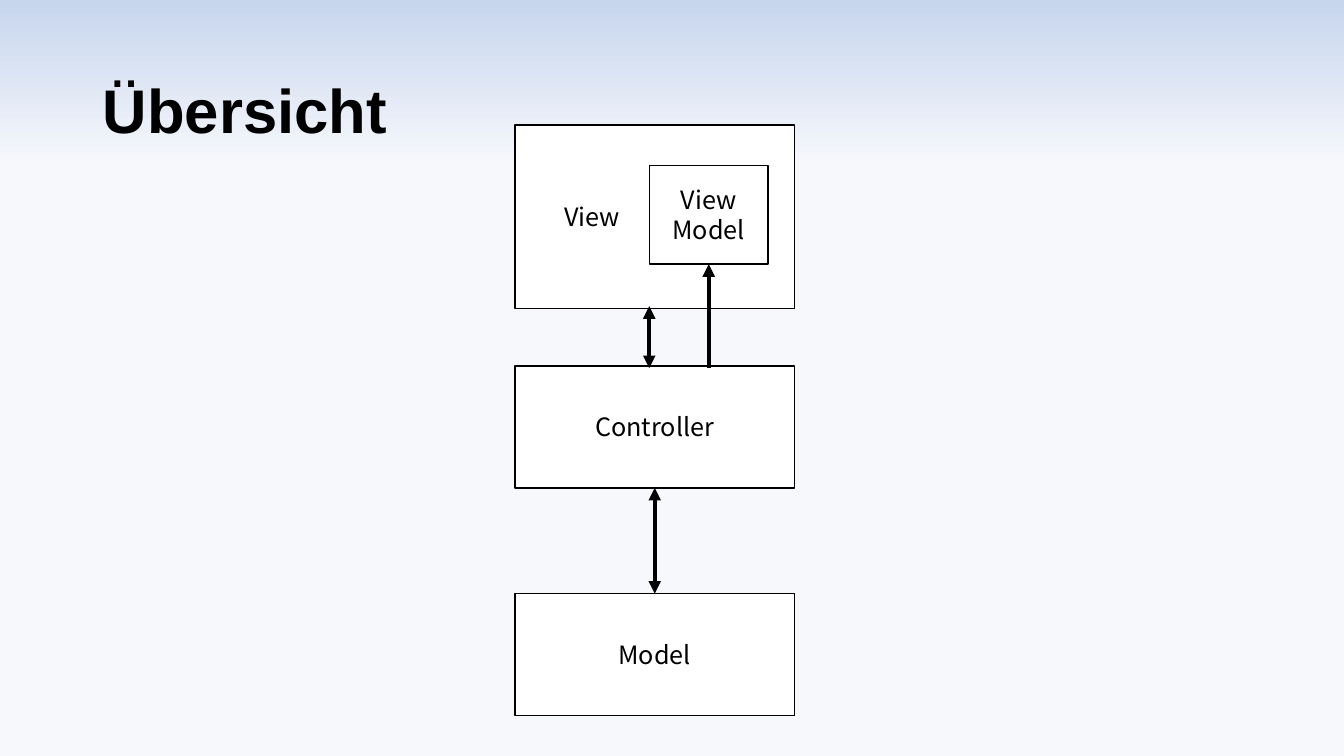
from dataclasses import dataclass

from lxml.etree import SubElement
from pptx import Presentation
from pptx.dml.color import RGBColor
from pptx.enum.shapes import MSO_CONNECTOR, MSO_SHAPE
from pptx.enum.text import MSO_ANCHOR, MSO_AUTO_SIZE, PP_ALIGN
from pptx.oxml.ns import qn
from pptx.slide import Slide
from pptx.util import Inches, Pt

BLACK = RGBColor(0x00, 0x00, 0x00)
WHITE = RGBColor(0xFF, 0xFF, 0xFF)
SKY = RGBColor(0xC7, 0xD5, 0xED)
MIST = RGBColor(0xF6, 0xF8, 0xFC)

SLIDE_WIDTH, SLIDE_HEIGHT = Inches(13.33), Inches(7.5)


def across(share: float) -> int:
    """Percent of the slide's width."""
    return round(SLIDE_WIDTH * share / 100)


def down(share: float) -> int:
    """Percent of the slide's height."""
    return round(SLIDE_HEIGHT * share / 100)


@dataclass(frozen=True)
class Box:
    label: str
    left: float
    top: float
    width: float
    height: float
    indent: float | None = None  # left-aligned label when given

    @property
    def bottom(self) -> float:
        return self.top + self.height

    @property
    def center(self) -> float:
        return self.left + self.width / 2


@dataclass(frozen=True)
class Arrow:
    x: float
    start: float
    end: float
    both_ways: bool = True


# Layers share one column; the view model sits inside the view
LAYER_LEFT, LAYER_WIDTH, LAYER_HEIGHT = 38.33, 20.78, 16.13
OVERLAP = 0.3

view = Box("View", LAYER_LEFT, 16.53, LAYER_WIDTH, 24.27, indent=3.67)
controller = Box("Controller", LAYER_LEFT, 48.4, LAYER_WIDTH, LAYER_HEIGHT)
view_model = Box("View Model", 48.31, 21.87, 8.85, 13.07)
model = Box("Model", LAYER_LEFT, 78.53, LAYER_WIDTH, LAYER_HEIGHT)

BOXES = (view, controller, view_model, model)
ARROWS = (
    Arrow(view_model.center, controller.top + OVERLAP, view_model.bottom, both_ways=False),
    Arrow(view_model.left, view.bottom - OVERLAP, controller.top + OVERLAP),
    Arrow(model.center, model.top, controller.bottom),
)


def paint_background(slide: Slide) -> None:
    fill = slide.background.fill
    fill.gradient()
    fill.gradient_angle = 270
    for stop, color, position in zip(fill.gradient_stops, (SKY, MIST), (0, 0.22)):
        stop.color.rgb = color
        stop.position = position


def write_title(slide: Slide, text: str) -> None:
    title = slide.shapes.title
    title.left, title.top = across(6.9), down(5.33)
    title.width, title.height = across(86.27), down(19.33)
    frame = title.text_frame
    frame.text = text
    frame.auto_size = MSO_AUTO_SIZE.NONE
    frame.vertical_anchor = MSO_ANCHOR.MIDDLE
    heading = frame.paragraphs[0]
    heading.alignment = PP_ALIGN.LEFT
    heading.line_spacing = 0.9
    heading.font.name, heading.font.size = "Arial", Pt(44)
    heading.font.bold = True
    heading.font.color.rgb = BLACK


def draw_box(slide: Slide, box: Box) -> None:
    panel = slide.shapes.add_shape(
        MSO_SHAPE.RECTANGLE,
        across(box.left), down(box.top), across(box.width), down(box.height),
    )
    panel.shadow.inherit = False
    panel.fill.solid()
    panel.fill.fore_color.rgb = WHITE
    panel.line.color.rgb = BLACK
    panel.line.width = Pt(1)
    frame = panel.text_frame
    frame.text = box.label
    frame.word_wrap = True
    frame.vertical_anchor = MSO_ANCHOR.MIDDLE
    label = frame.paragraphs[0]
    label.alignment = PP_ALIGN.CENTER
    if box.indent is not None:
        label.alignment = PP_ALIGN.LEFT
        frame.margin_left = across(box.indent)
    label.font.name, label.font.size = "Noto Sans CJK SC", Pt(18)
    label.font.color.rgb = BLACK


def draw_arrow(slide: Slide, arrow: Arrow) -> None:
    x = across(arrow.x)
    link = slide.shapes.add_connector(
        MSO_CONNECTOR.STRAIGHT, x, down(arrow.start), x, down(arrow.end)
    )
    link.line.color.rgb = BLACK
    link.line.width = Pt(3)
    stroke = link.line._get_or_add_ln()
    for end in ("a:headEnd", "a:tailEnd") if arrow.both_ways else ("a:tailEnd",):
        SubElement(stroke, qn(end), type="triangle")
    SubElement(link._element.spPr, qn("a:effectLst"))


def main() -> None:
    deck = Presentation()
    deck.slide_width, deck.slide_height = SLIDE_WIDTH, SLIDE_HEIGHT
    slide = deck.slides.add_slide(deck.slide_layouts[5])
    paint_background(slide)
    write_title(slide, "Übersicht")
    for box in BOXES:
        draw_box(slide, box)
    for arrow in ARROWS:
        draw_arrow(slide, arrow)
    deck.save("out.pptx")


if __name__ == "__main__":
    main()
